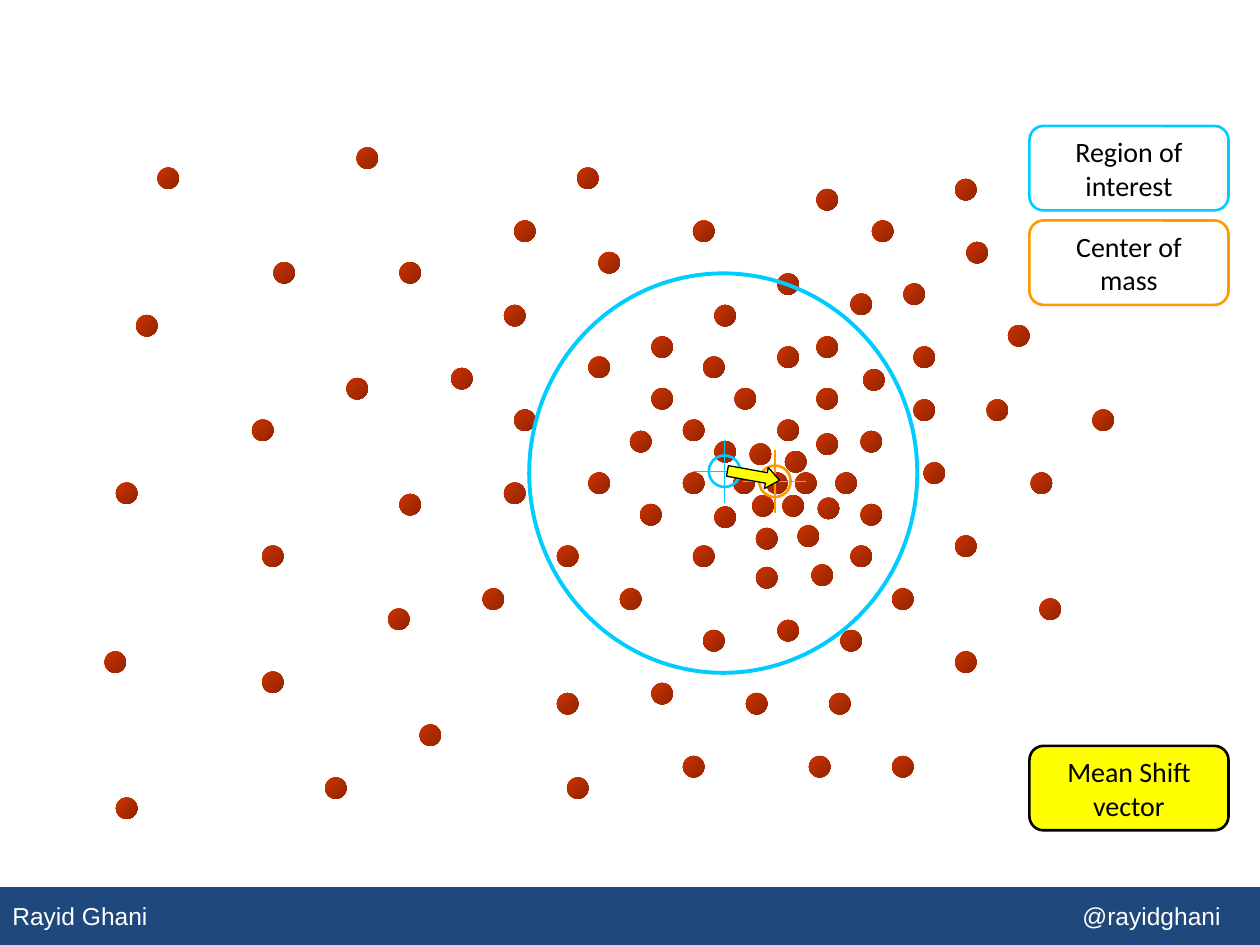
from lxml.etree import SubElement
from pptx import Presentation
from pptx.dml.color import RGBColor
from pptx.enum.shapes import MSO_CONNECTOR, MSO_SHAPE
from pptx.enum.text import MSO_ANCHOR, PP_ALIGN
from pptx.oxml.ns import qn
from pptx.util import Inches, Pt

COLORS = {
    "footer": "1F497D", "white": "FFFFFF", "black": "000000",
    "region": "00CCFF", "mass": "FF9900", "vector": "FFFF00",
    "point_light": "CC3300", "point_dark": "922400",
}
FOOTER = "Rayid Ghani\t@rayidghani"

# Left and top of each data point
POINTS = [
    (6.08, 3.75), (6.31, 3.75), (6.23, 3.58), (5.95, 3.52), (6.21, 3.93), (5.97, 3.93),
    (6.49, 3.95), (5.82, 3.75), (6.63, 3.75), (6.48, 3.44), (6.17, 3.33), (6.33, 4.17),
    (6, 4.19), (5.67, 4.02), (5.42, 3.75), (5.67, 3.5), (6.83, 4), (6.75, 4.33),
    (6.44, 4.48), (6, 4.5), (5.5, 4.33), (5.08, 4), (5, 3.42), (5.42, 3.33),
    (5.83, 3.08), (6.48, 3.08), (6.17, 2.75), (5.17, 3.08), (5.58, 2.83), (6.17, 2.17),
    (5.67, 2.42), (6.48, 2.67), (6.48, 1.5), (6.75, 2.33), (6.85, 2.93), (6.83, 3.42),
    (7.25, 3.17), (7.25, 2.75), (7.17, 2.25), (6.92, 1.75), (7.58, 1.42), (7.67, 1.92),
    (8, 2.58), (7.33, 3.67), (7.83, 3.17), (8.67, 3.25), (7.58, 4.25), (8.18, 3.75),
    (7.08, 4.67), (8.25, 4.75), (7.58, 5.17), (6.67, 5), (6.17, 4.92), (6.58, 5.5),
    (7.08, 6), (6.42, 6), (5.92, 5.5), (5.58, 5), (4.92, 4.67), (5.17, 5.42),
    (5.42, 6), (4.5, 6.17), (4.42, 5.5), (3.83, 4.67), (4.42, 4.33), (4.67, 3.75),
    (4.08, 3.25), (4.67, 2.83), (5.17, 2.67), (4.75, 2), (5.5, 1.75), (4.58, 1.33),
    (4.08, 1.75), (4, 2.42), (3.58, 2.92), (4, 3.83), (3.17, 3.92), (3.08, 4.83),
    (3.33, 5.75), (2.58, 6.17), (2.08, 5.33), (2.08, 4.33), (2.75, 3), (3.17, 2.08),
    (2.17, 2.08), (2, 3.33), (0.83, 5.17), (0.92, 6.33), (0.92, 3.83), (1.08, 2.5),
    (1.25, 1.33), (2.83, 1.17),
]
POINT_SIZE = 0.17

# Lines of text, top, outline, fill
LABELS = [
    (("Region of", "interest"), 1, "region", None),
    (("Center of", "mass"), 1.75, "mass", None),
    (("Mean Shift", "vector"), 5.92, "black", "vector"),
]
REGION_CENTER = (5.75, 3.74)
MASS_CENTER = (6.15, 3.82)
RING_RADIUS, CROSS_RADIUS = 0.125, 0.25


def rgb(name):
    return RGBColor.from_string(COLORS[name])


def add_shape(parent, kind, box, fill=None, line=None, width=0.75):
    shape = parent.add_shape(kind, *map(Inches, box))
    shape.shadow.inherit = False
    if fill:
        shape.fill.solid()
        shape.fill.fore_color.rgb = rgb(fill)
    else:
        shape.fill.background()
    if line:
        shape.line.color.rgb = rgb(line)
        shape.line.width = Pt(width)
    else:
        shape.line.fill.background()
    return shape


def format_text(paragraph, color, **values):
    for name, value in values.items():
        setattr(paragraph.font, name, value)
    paragraph.font.color.rgb = rgb(color)


def add_footer(shapes):
    bar = add_shape(shapes, MSO_SHAPE.RECTANGLE, (0, 7.04, 10, 0.46), "footer")
    frame = bar.text_frame
    frame.vertical_anchor = MSO_ANCHOR.MIDDLE
    paragraph = frame.paragraphs[0]
    paragraph.text = FOOTER
    paragraph.alignment = PP_ALIGN.LEFT
    properties = paragraph._p.get_or_add_pPr()
    tabs = SubElement(properties, qn("a:tabLst"))
    SubElement(tabs, qn("a:tab"), pos=str(Inches(9.59)), algn="r")
    format_text(paragraph, "white", name="Arial", size=Pt(14))


def add_point(shapes, left, top):
    point = add_shape(shapes, MSO_SHAPE.OVAL, (left, top, POINT_SIZE, POINT_SIZE))
    point.fill.gradient()
    point.fill.gradient_angle = 315
    for stop, color in zip(point.fill.gradient_stops, ("point_light", "point_dark")):
        stop.color.rgb = rgb(color)


def add_crosshair(parent, center, color):
    """Draw a ring with a vertical and a horizontal line through its center."""
    x, y = center
    ring = (x - RING_RADIUS, y - RING_RADIUS, 2 * RING_RADIUS, 2 * RING_RADIUS)
    add_shape(parent, MSO_SHAPE.OVAL, ring, line=color, width=1.5)
    for dx, dy in ((0, CROSS_RADIUS), (CROSS_RADIUS, 0)):
        ends = (x - dx, y - dy, x + dx, y + dy)
        line = parent.add_connector(MSO_CONNECTOR.STRAIGHT, *map(Inches, ends))
        line.line.color.rgb = rgb(color)
        line.line.width = Pt(0.75)
        SubElement(line._element.spPr, qn("a:effectLst"))


def add_label(shapes, lines, top, outline, fill):
    label = add_shape(shapes, MSO_SHAPE.ROUNDED_RECTANGLE, (8.17, top, 1.58, 0.67),
                      fill, outline, 1.5)
    frame = label.text_frame
    frame.word_wrap = False
    frame.vertical_anchor = MSO_ANCHOR.MIDDLE
    frame.text = "\n".join(lines)
    for paragraph in frame.paragraphs:
        paragraph.alignment = PP_ALIGN.CENTER
        format_text(paragraph, "black", name="Calibri", size=Pt(16))


def main():
    presentation = Presentation()
    presentation.slide_width, presentation.slide_height = Inches(10), Inches(7.5)
    shapes = presentation.slides.add_slide(presentation.slide_layouts[6]).shapes

    add_footer(shapes)
    for left, top in POINTS:
        add_point(shapes, left, top)

    region = shapes.add_group_shape().shapes
    add_shape(region, MSO_SHAPE.OVAL, (4.2, 2.17, 3.08, 3.17), line="region", width=2.25)
    add_crosshair(region, REGION_CENTER, "region")
    for label in LABELS:
        add_label(shapes, *label)
    add_crosshair(shapes.add_group_shape().shapes, MASS_CENTER, "mass")

    arrow = add_shape(shapes, MSO_SHAPE.RIGHT_ARROW, (5.77, 3.69, 0.42, 0.17),
                      "vector", "black")
    arrow.adjustments[1] = 0.625
    arrow.rotation = 10.3
    presentation.save("out.pptx")


if __name__ == "__main__":
    main()
